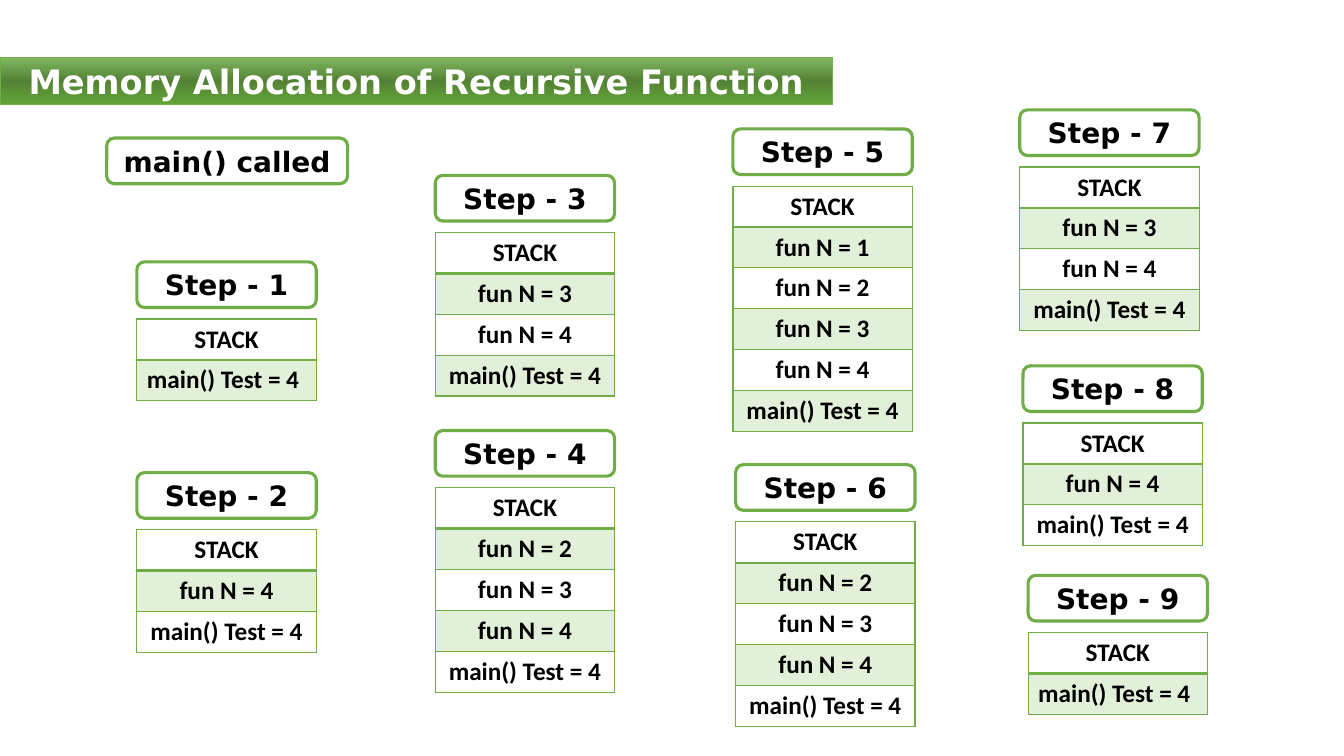
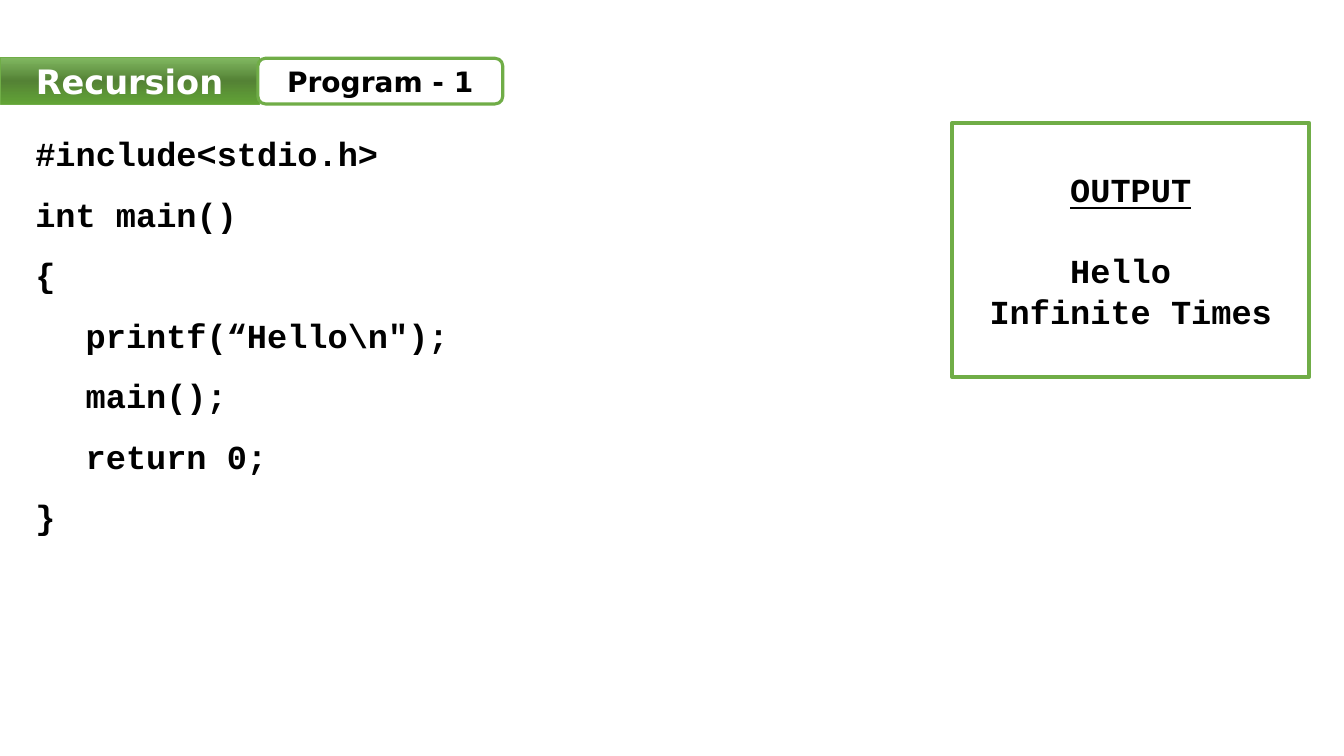
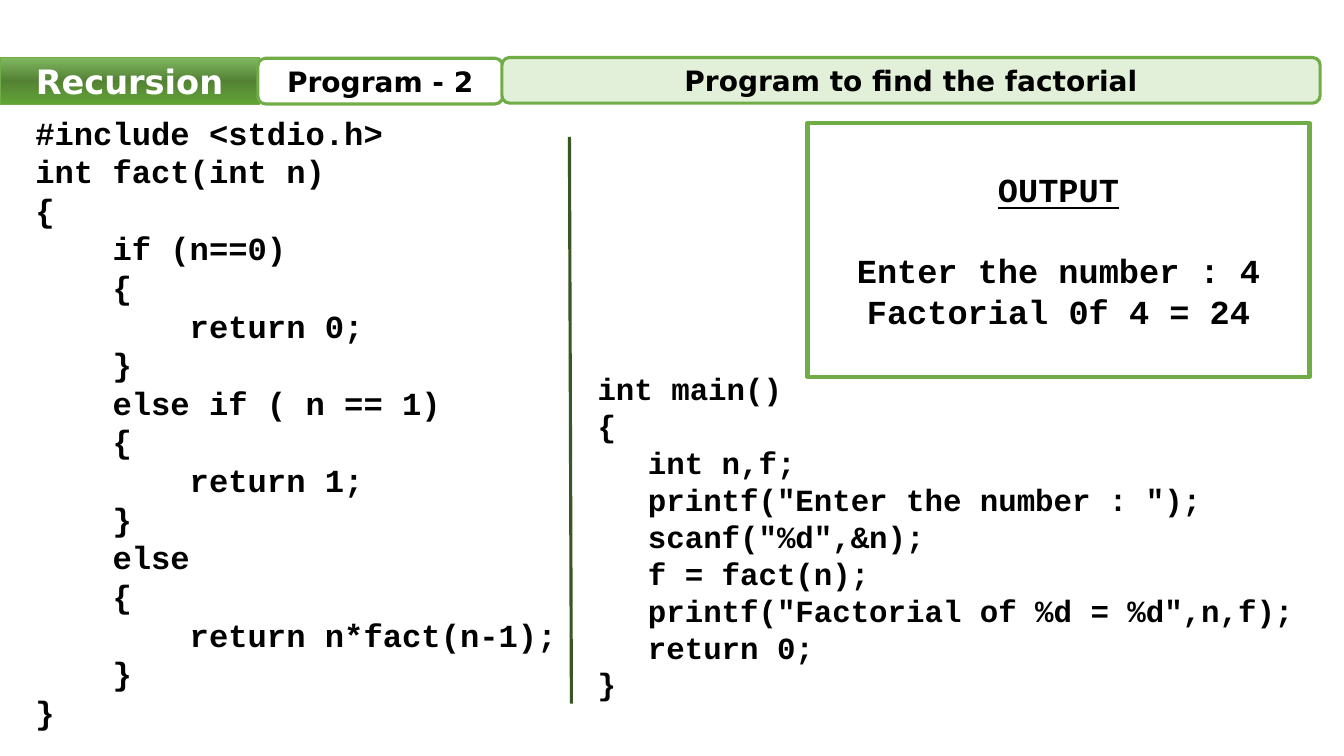
from copy import deepcopy

from lxml.etree import SubElement
from pptx import Presentation
from pptx.dml.color import RGBColor
from pptx.enum.shapes import MSO_CONNECTOR, MSO_SHAPE
from pptx.enum.text import MSO_ANCHOR, MSO_AUTO_SIZE, PP_ALIGN
from pptx.oxml.ns import qn
from pptx.util import Cm, Pt

GREEN = "70AD47"
PALE_GREEN = "E2F0D9"
DARK_GREEN = "385723"
WHITE = "FFFFFF"
BLACK = "000000"
BAND_STOPS = [(0, "81B861"), (0.5, "548235"), (1, "62A336")]

TITLE_FONT = {"name": "DejaVu Sans", "size": Pt(24), "bold": True}
LABEL_FONT = {"name": "DejaVu Sans", "size": Pt(20), "bold": True}
STACK_FONT = {"name": "Calibri", "size": Pt(18), "bold": True}
CODE_FONT = {"name": "Courier New", "size": Pt(24), "bold": True}
CENTERED = {"alignment": PP_ALIGN.CENTER}
LEFT = {"alignment": PP_ALIGN.LEFT}
FRAME = {
    "word_wrap": True,
    "auto_size": MSO_AUTO_SIZE.NONE,
    "vertical_anchor": MSO_ANCHOR.MIDDLE,
}
CODE_FRAME = {**FRAME, "vertical_anchor": MSO_ANCHOR.TOP}


def paint(fill, color):
    fill.solid()
    fill.fore_color.rgb = RGBColor.from_string(color)


def write(frame, lines, font, layout, color=BLACK, indent=None):
    for number, line in enumerate(lines):
        paragraph = frame.paragraphs[0] if number == 0 else frame.add_paragraph()
        if indent and line.startswith(" "):
            line = line.strip()
            paragraph.level = 1
            paragraph._p.get_or_add_pPr().set("marL", str(indent))
        run = paragraph.add_run()
        run.text = line
        for key, value in layout.items():
            setattr(paragraph, key, value)
        for key, value in font.items():
            setattr(run.font, key, value)
        paint(run.font.fill, color)


presentation = Presentation()
presentation.slide_width = Cm(33.87)
presentation.slide_height = Cm(19.05)

slides = []
for heading, band_width in [
    ("Memory Allocation of Recursive Function", 20.98),
    ("Recursion", 6.53),
    ("Recursion", 6.53),
]:
    slide = presentation.slides.add_slide(presentation.slide_layouts[5])
    slides.append(slide)
    band = slide.shapes.title
    band.left, band.top = Cm(0), Cm(1.45)
    band.width, band.height = Cm(band_width), Cm(1.17)
    band.fill.gradient()
    band.fill.gradient_angle = 270
    stops = band._element.spPr.find(qn("a:gradFill")).find(qn("a:gsLst"))
    stops.insert(1, deepcopy(stops[0]))
    for stop, (position, color) in zip(band.fill.gradient_stops, BAND_STOPS):
        stop.position = position
        stop.color.rgb = RGBColor.from_string(color)
    paint(band.line.fill, GREEN)
    band.line.width = Pt(0.5)
    for key, value in FRAME.items():
        setattr(band.text_frame, key, value)
    write(band.text_frame, [heading], TITLE_FONT, CENTERED, WHITE)

memory, hello, factorial = slides

step_places = [
    (3.45, 6.6), (3.45, 11.91),
    (10.97, 4.42), (10.97, 10.85),
    (18.47, 3.25), (18.54, 11.71),
    (25.7, 2.77), (25.78, 9.22), (25.91, 14.5),
]
step_width, row_height, stack_drop = 4.52, 1.03, 1.44

labels = [
    (memory, "main() called", 2.69, 3.48, 6.07, WHITE),
    (hello, "Program - 1", 6.5, 1.47, 6.17, WHITE),
    (factorial, "Program - 2", 6.5, 1.47, 6.17, WHITE),
    (factorial, "Program to find the factorial", 12.65, 1.45, 20.62, PALE_GREEN),
]
for step, (left, top) in enumerate(step_places, 1):
    labels.append((memory, f"Step - {step}", left, top, step_width, WHITE))

    deepest_call = abs(step - 5) + 1
    calls = [f"fun N = {n}" for n in range(deepest_call, 5)]
    entries = ["STACK", *calls, "main() Test = 4"]
    stack = memory.shapes.add_table(
        len(entries), 1, Cm(left), Cm(top + stack_drop),
        Cm(step_width), Cm(row_height * len(entries)),
    ).table
    stack.first_row = False
    stack.horz_banding = False
    for row, entry in enumerate(entries):
        cell = stack.cell(row, 0)
        main_only = row == 1 and not calls
        write(cell.text_frame, [entry], STACK_FONT, LEFT if main_only else CENTERED)
        widths = {
            "a:lnL": 1,
            "a:lnR": 1,
            "a:lnT": 2 if row == 1 else 1,
            "a:lnB": 2 if row == 0 else 1,
        }
        properties = cell._tc.get_or_add_tcPr()
        for side, width in widths.items():
            border = SubElement(properties, qn(side), w=str(Pt(width)))
            border_fill = SubElement(border, qn("a:solidFill"))
            SubElement(border_fill, qn("a:srgbClr"), val=GREEN)
        paint(cell.fill, PALE_GREEN if row % 2 else WHITE)

for slide, text, left, top, width, color in labels:
    label = slide.shapes.add_shape(
        MSO_SHAPE.ROUNDED_RECTANGLE, Cm(left), Cm(top), Cm(width), Cm(1.15)
    )
    label.shadow.inherit = False
    paint(label.fill, color)
    paint(label.line.fill, GREEN)
    label.line.width = Pt(2.25)
    for key, value in FRAME.items():
        setattr(label.text_frame, key, value)
    write(label.text_frame, [text], LABEL_FONT, CENTERED)

hello_code = r"""#include<stdio.h>
int main()
{
    printf(“Hello\n");
    main();
    return 0;
}"""

fact_code = """#include <stdio.h>
int fact(int n)
{
    if (n==0)
    {
        return 0;
    }
    else if ( n == 1)
    {
        return 1;
    }
    else
    {
        return n*fact(n-1);
    }
}"""

main_code = """int main()
{
    int n,f;
    printf("Enter the number : ");
    scanf("%d",&n);
    f = fact(n);
    printf("Factorial of %d = %d",n,f);
    return 0;
}"""

for slide, code, place, size, spacing, indent in [
    (hello, hello_code, (0.64, 2.72, 32.64, 10.9), 24, 1.5, Cm(1.27)),
    (factorial, fact_code, (0.64, 2.72, 14.5, 15.98), 23, 1.0, None),
    (factorial, main_code, (14.81, 9.19, 18.24, 8.71), 22, 1.0, Cm(1.27)),
]:
    listing = slide.shapes.add_textbox(*map(Cm, place)).text_frame
    for key, value in CODE_FRAME.items():
        setattr(listing, key, value)
    write(
        listing, code.splitlines(), {**CODE_FONT, "size": Pt(size)},
        {**LEFT, "line_spacing": spacing}, indent=indent,
    )

for slide, left, width, results in [
    (hello, 24, 8.99, ["Hello ", "Infinite Times"]),
    (factorial, 20.35, 12.65, ["Enter the number : 4", "Factorial 0f 4 = 24"]),
]:
    output = slide.shapes.add_shape(
        MSO_SHAPE.RECTANGLE, Cm(left), Cm(3.1), Cm(width), Cm(6.4)
    )
    output.shadow.inherit = False
    output.fill.background()
    paint(output.line.fill, GREEN)
    output.line.width = Pt(3)
    for key, value in FRAME.items():
        setattr(output.text_frame, key, value)
    write(output.text_frame, ["OUTPUT", *results], CODE_FONT, CENTERED)
    caption, first_result = output.text_frame.paragraphs[:2]
    caption.runs[0].font.underline = True
    first_result.space_before = Pt(29)

divider = factorial.shapes.add_connector(
    MSO_CONNECTOR.STRAIGHT, Cm(14.35), Cm(3.45), Cm(14.4), Cm(17.73)
)
paint(divider.line.fill, DARK_GREEN)
divider.line.width = Pt(2.25)
SubElement(divider._element.spPr, qn("a:effectLst"))

presentation.save("out.pptx")
